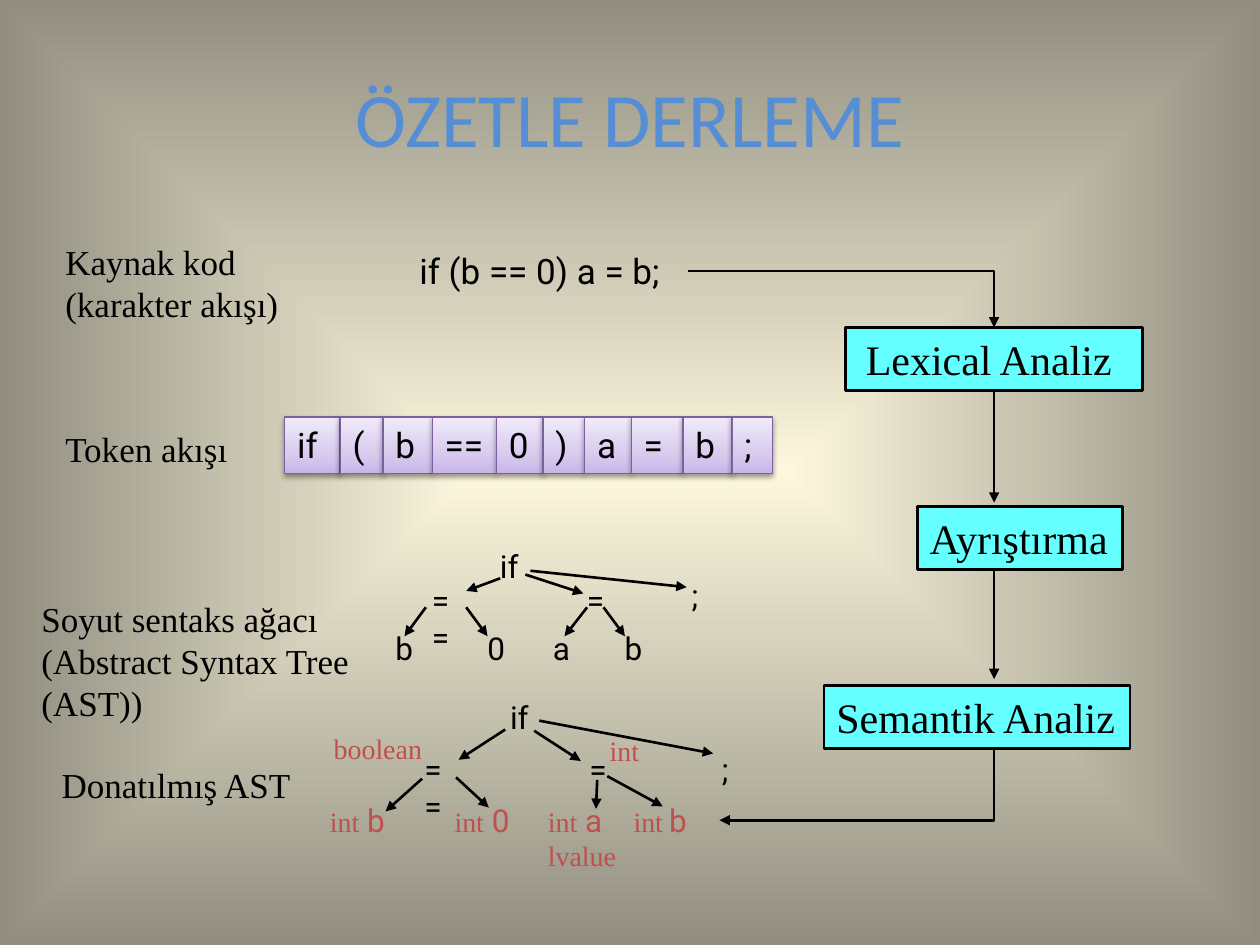
import pptx
import pptx.util
import pptx.dml.color
import pptx.enum.shapes
import pptx.enum.text
import pptx.oxml
import pptx.oxml.ns

# The grid has 100 columns and 75 rows; every length below is in grid units
UNIT = 0.1
COLUMNS, ROWS = 100, 75
SERIF, SANS, TITLE_FONT = "Times New Roman", "Roboto", "Calibri"
BLACK, RED, CYAN, BLUE, PURPLE = "000000", "C0504D", "66FFFF", "558ED5", "7D60A0"
qn = pptx.oxml.ns.qn


def grid(units):
    return pptx.util.Inches(units * UNIT)


def color(value):
    return pptx.dml.color.RGBColor.from_string(value)


def fragment(xml):
    """Parse one element inside a wrapper that declares the namespace."""
    return pptx.oxml.parse_xml(f"<a:wrap {pptx.oxml.ns.nsdecls('a')}>{xml}</a:wrap>")[0]


def set_gradient(fill, owner, stops, direction):
    """Give a fill its (position, colour) stops and its direction element."""
    fill.gradient()
    gradient = owner.find(".//" + qn("a:gradFill"))
    for child in list(gradient):
        gradient.remove(child)
    stop_xml = "".join(f'<a:gs pos="{position * 1000}"><a:srgbClr val="{value}"/></a:gs>'
                       for position, value in stops)
    gradient.append(fragment(f"<a:gsLst>{stop_xml}</a:gsLst>"))
    gradient.append(fragment(direction))


def write(shape, paragraphs, wrap=False):
    """Each paragraph is a list of runs (text, size, font, colour)."""
    frame = shape.text_frame
    frame.word_wrap = wrap
    frame.auto_size = pptx.enum.text.MSO_AUTO_SIZE.SHAPE_TO_FIT_TEXT
    frame.vertical_anchor = pptx.enum.text.MSO_ANCHOR.TOP
    for index, runs in enumerate(paragraphs):
        paragraph = frame.paragraphs[0] if index == 0 else frame.add_paragraph()
        paragraph.alignment = pptx.enum.text.PP_ALIGN.LEFT
        for text, size, font, value in runs:
            run = paragraph.add_run()
            run.text = text
            run.font.size = pptx.util.Pt(size)
            run.font.name = font
            run.font.color.rgb = color(value)


def add_text(slide, box, paragraphs, wrap=False):
    shape = slide.shapes.add_textbox(*map(grid, box))
    write(shape, paragraphs, wrap)
    return shape


def add_box(slide, box, line, width):
    shape = slide.shapes.add_shape(pptx.enum.shapes.MSO_SHAPE.RECTANGLE, *map(grid, box))
    shape.shadow.inherit = False
    shape.line.color.rgb = color(line)
    shape.line.width = pptx.util.Pt(width)
    return shape


def add_arrow(slide, start, end, width=1.5, bent=False):
    kinds = pptx.enum.shapes.MSO_CONNECTOR
    connector = slide.shapes.add_connector(
        kinds.ELBOW if bent else kinds.STRAIGHT, *map(grid, (*start, *end)))
    connector.line.color.rgb = color(BLACK)
    connector.line.width = pptx.util.Pt(width)
    properties = connector._element.spPr
    properties.find(qn("a:ln")).append(fragment('<a:tailEnd type="triangle"/>'))
    properties.append(fragment("<a:effectLst/>"))
    if bent:
        properties.find(qn("a:prstGeom")).set("prst", "bentConnector2")
    return connector


def add_background(slide):
    set_gradient(slide.background.fill, slide._element, [(0, "FCF7DD"), (100, "918E81")],
                 '<a:path path="shape"><a:fillToRect l="50000" t="50000" r="50000" b="50000"/></a:path>')


def add_title(slide, box):
    shape = add_text(slide, box, [[("ÖZETLE DERLEME", 44, TITLE_FONT, BLUE)]], wrap=True)
    shape.text_frame.auto_size = pptx.enum.text.MSO_AUTO_SIZE.NONE
    shape.text_frame.vertical_anchor = pptx.enum.text.MSO_ANCHOR.MIDDLE
    shape.text_frame.paragraphs[0].alignment = pptx.enum.text.PP_ALIGN.CENTER


def add_stage_labels(slide, box):
    left, top, _, _ = box
    labels = [
        (1.9, 0, 19, 7.7, ["Kaynak kod", "(karakter akışı)"]),
        (1.9, 14.8, 15, 4.4, ["Token akışı"]),
        (0, 28.3, 26.6, 11.1, ["Soyut sentaks ağacı", "(Abstract Syntax Tree", "(AST))"]),
        (1.6, 41.5, 20.3, 4.4, ["Donatılmış AST"]),
    ]
    for x, y, width, height, lines in labels:
        add_text(slide, (left + x, top + y, width, height),
                 [[(line, 20, SERIF, BLACK)] for line in lines])


def add_tokens(slide, box):
    """A row of adjoining cells, one for each token."""
    left, top, _, height = box
    tokens = [("if", 4.4), ("(", 3.4), ("b", 3.9), ("==", 5.1), ("0", 3.7),
              (")", 3.3), ("a", 3.7), ("=", 4.1), ("b", 3.9), (";", 3.2)]
    for token, width in tokens:
        cell = add_box(slide, (left, top, width, height), PURPLE, 0.75)
        set_gradient(cell.fill, cell._element,
                     [(0, "C9B5E8"), (35, "D8CBEE"), (100, "F0EAF9")],
                     '<a:lin ang="16200000" scaled="1"/>')
        cell._element.spPr.find(qn("a:effectLst")).append(fragment(
            '<a:outerShdw blurRad="40000" dist="20000" dir="5400000" rotWithShape="0">'
            '<a:srgbClr val="000000"><a:alpha val="38000"/></a:srgbClr></a:outerShdw>'))
        write(cell, [[(token, 20, SANS, BLACK)]], wrap=token not in ("0", "=="))
        left += width


def add_phases(slide, box):
    """Phase boxes on the right and the arrows that run through them."""
    left, top, _, _ = box
    phases = []
    for x, y, width, name in [(1.7, 4.5, 23.6, "Lexical Analiz "),
                              (7.4, 18.7, 16.3, "Ayrıştırma"),
                              (0, 32.9, 24.3, "Semantik Analiz")]:
        phase = add_box(slide, (left + x, top + y, width, 5), BLACK, 1.5)
        phase.fill.solid()
        phase.fill.fore_color.rgb = color(CYAN)
        write(phase, [[(name, 24, SERIF, BLACK)]])
        phases.append(phase)
    lexical = phases[0]
    lexical.text_frame.word_wrap = True
    lexical.text_frame.paragraphs[0].alignment = pptx.enum.text.PP_ALIGN.CENTER

    axis = left + 13.5
    source = add_arrow(slide, (left - 10.8, top), (axis, top + 4.5), bent=True)
    source.end_connect(lexical, 0)
    to_parsing = add_arrow(slide, (axis, top + 9.5), (axis, top + 18.4), 0.75)
    to_parsing.begin_connect(lexical, 2)
    add_arrow(slide, (axis, top + 23.8), (axis, top + 32.4), 0.75)

    # The last arrow goes down, then left: an elbow turned by a quarter
    drop, run = 5.7, 21.8
    x = axis - run / 2 - drop / 2
    y = top + 37.9 + drop / 2 - run / 2
    result = add_arrow(slide, (x, y), (x + drop, y + run), bent=True)
    result._element.spPr.find(qn("a:xfrm")).set("rot", "5400000")


def add_tree(slide, box, nodes, edges):
    """Nodes are (x, y, width, paragraphs); edges are (x1, y1, x2, y2)."""
    left, top, _, _ = box
    for x, y, width, paragraphs in nodes:
        size = (width, 4 if len(paragraphs) == 1 else 6.7)
        narrow = paragraphs[0][0][0] == "=="
        add_text(slide, (left + x, top + y, *size), paragraphs, wrap=narrow)
    for x1, y1, x2, y2 in edges:
        add_arrow(slide, (left + x1, top + y1), (left + x2, top + y2))


def symbol(text):
    return [[(text, 18, SANS, BLACK)]]


def note(text):
    return [(text, 16, SERIF, RED)]


def typed(text):
    return [*note("int"), (" " + text, 18, SANS, RED)]


def add_syntax_tree(slide, box):
    middle, leaves = 2.7, 6.5
    nodes = [(8.3, 0, 3.6, symbol("if")), (2.9, middle, 4.7, symbol("==")),
             (15.2, middle, 3.3, symbol("=")), (23.5, 2.3, 2.9, symbol(";"))]
    nodes += [(x, leaves, 3.4, symbol(name))
              for x, name in [(0, "b"), (7.3, "0"), (12.5, "a"), (18.2, "b")]]
    edges = [(9.3, 3, 6.6, 4), (11.3, 2.7, 15.9, 4.2), (11.7, 2.4, 24.1, 3.7)]
    edges += [(start, 5.3, end, 7.6)
              for start, end in [(3.4, 1.7), (6.6, 8.3), (16.2, 14.4), (17.5, 19.2)]]
    add_tree(slide, box, nodes, edges)


def add_decorated_tree(slide, box):
    middle, leaves = 4.1, 8.2
    last_leaf = [*note("int"), (" ", 14, SERIF, RED), ("b", 18, SANS, RED)]
    nodes = [(14.3, 0, 3.6, symbol("if")), (7.5, middle, 4.7, symbol("==")),
             (20.6, middle, 3.3, symbol("=")), (31.1, middle, 2.9, symbol(";")),
             (0.3, 2.7, 9.4, [note("boolean")]), (22.2, 2.8, 4.6, [note("int")]),
             (0, leaves, 6.8, [typed("b")]), (9.9, leaves, 6.7, [typed("0")]),
             (17.3, leaves, 7.7, [typed("a"), note("lvalue")]),
             (24.1, leaves, 6.5, [last_leaf])]
    edges = [(14.9, 3, 11.2, 5.4), (17.2, 3.1, 20.9, 5.5), (17.6, 2.3, 31.4, 4.9),
             (8.3, 6.9, 5.4, 9.5), (11, 6.8, 13.6, 9.2),
             (22.2, 7, 22.1, 9.3), (23, 6.7, 27.4, 9.1)]
    add_tree(slide, box, nodes, edges)


def main():
    presentation = pptx.Presentation()
    presentation.slide_width, presentation.slide_height = grid(COLUMNS), grid(ROWS)
    slide = presentation.slides.add_slide(presentation.slide_layouts[6])
    add_background(slide)
    add_title(slide, (5, 3, 90, 12.5))
    add_stage_labels(slide, (2.3, 18.6, 26.6, 45.9))
    add_text(slide, (32.3, 19.3, 22.3, 4.3), [[("if (b == 0) a = b;", 20, SANS, BLACK)]])
    add_tokens(slide, (22.6, 33.1, 38.7, 4.5))
    add_phases(slide, (65.4, 21.5, 25.3, 43.6))
    add_syntax_tree(slide, (30.4, 42.9, 26.4, 10.5))
    add_decorated_tree(slide, (25.2, 54.9, 34, 14.9))
    presentation.save("out.pptx")


if __name__ == "__main__":
    main()
